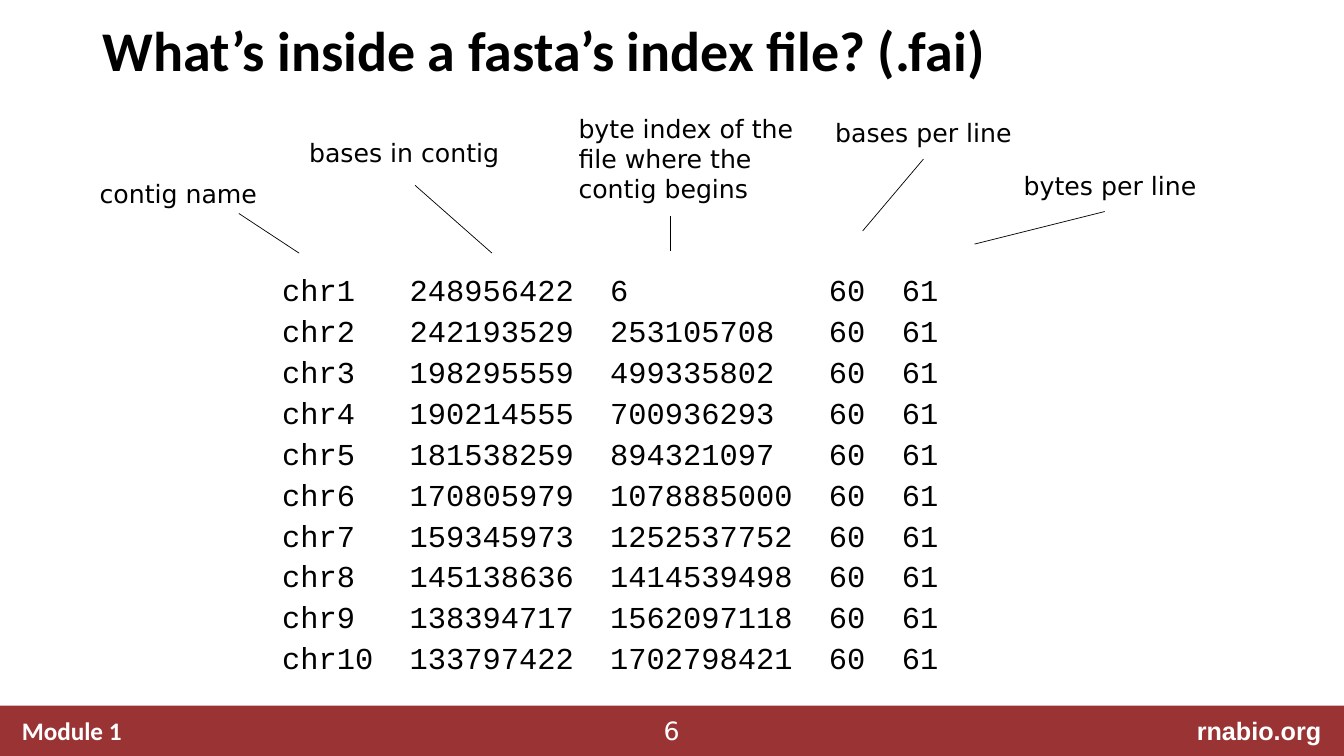
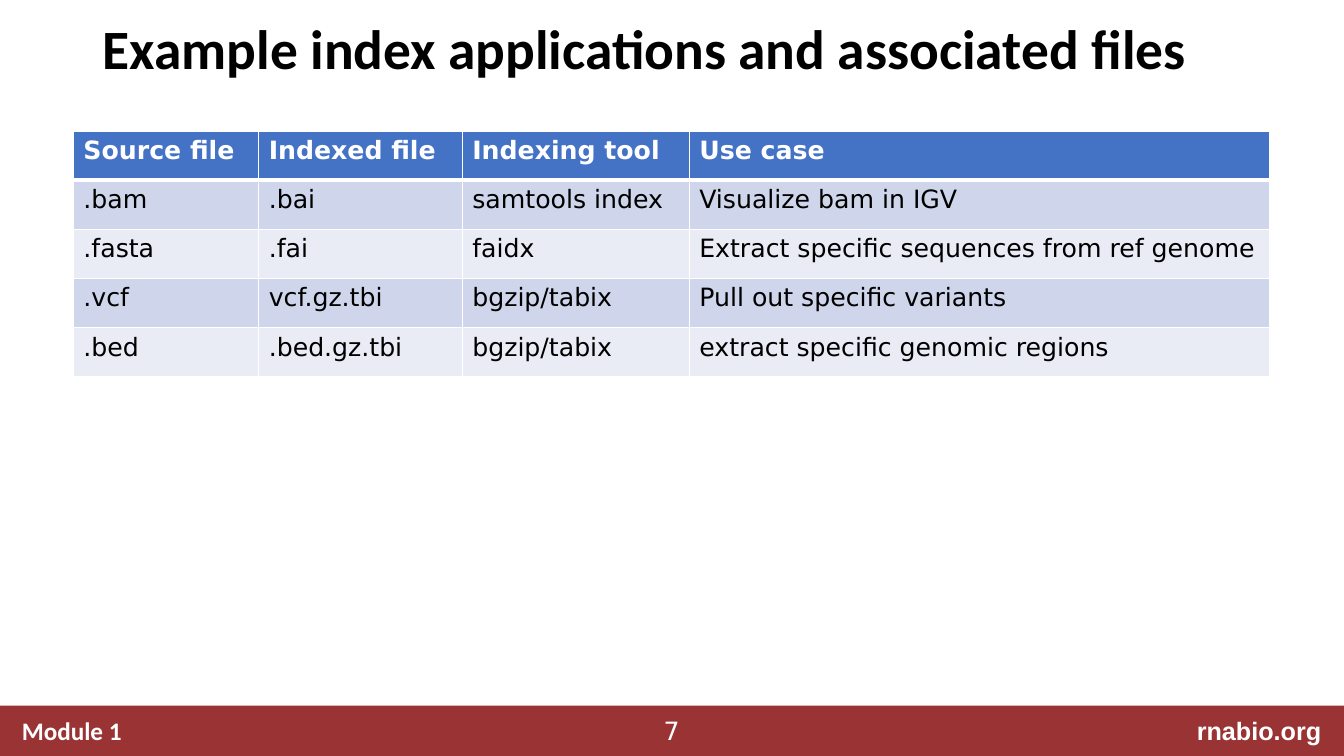
from lxml import etree
from pptx import Presentation
from pptx.dml.color import RGBColor
from pptx.enum.shapes import MSO_CONNECTOR, MSO_SHAPE
from pptx.enum.text import MSO_ANCHOR, PP_ALIGN
from pptx.oxml.ns import qn
from pptx.util import Cm, Pt

LEFT, CENTER, RIGHT = PP_ALIGN.LEFT, PP_ALIGN.CENTER, PP_ALIGN.RIGHT
TOP, MIDDLE = MSO_ANCHOR.TOP, MSO_ANCHOR.MIDDLE
RECTANGLE, STRAIGHT = MSO_SHAPE.RECTANGLE, MSO_CONNECTOR.STRAIGHT

BLACK = RGBColor(0x00, 0x00, 0x00)
WHITE = RGBColor(0xFF, 0xFF, 0xFF)
MAROON = RGBColor(0x9A, 0x33, 0x34)
HEADER_BLUE = RGBColor(0x44, 0x72, 0xC4)
BAND_FILLS = (RGBColor(0xCF, 0xD5, 0xEA), RGBColor(0xE9, 0xEB, 0xF5))

TITLE_FONT, BODY_FONT = "Calibri", "DejaVu Sans"
SITE_FONT, CODE_FONT = "Arial", "Courier New"
TEXT_SIZE, CODE_SIZE = 18, 21.7
CODE_CHARACTER_WIDTH = Pt(CODE_SIZE * 0.6)

SLIDE_WIDTH, SLIDE_HEIGHT = 33.87, 19.05
FOOTER_HEIGHT = 1.27
LABEL_WIDTH = 6
FIRST_NUMBER = 6

INDEX_TAB_CHARACTERS = (7, 18, 30, 34)
CONTIGS = [
    ("chr1", 248956422, 6),
    ("chr2", 242193529, 253105708),
    ("chr3", 198295559, 499335802),
    ("chr4", 190214555, 700936293),
    ("chr5", 181538259, 894321097),
    ("chr6", 170805979, 1078885000),
    ("chr7", 159345973, 1252537752),
    ("chr8", 145138636, 1414539498),
    ("chr9", 138394717, 1562097118),
    ("chr10", 133797422, 1702798421),
]
LINE_BASES, LINE_BYTES = 60, 61

# Label text, left, top, then the two ends of its pointer
CALLOUTS = [
    ("contig name", 2.26, 4.37, (6.02, 5.38), (7.54, 6.38)),
    ("bases in contig", 7.54, 3.33, (10.46, 4.67), (12.4, 6.38)),
    ("byte index of the file where the contig begins", 14.33, 2.72,
     (16.89, 5.44), (16.89, 6.32)),
    ("bases per line", 20.8, 2.84, (23.27, 4.01), (21.74, 5.82)),
    ("bytes per line", 25.55, 4.17, (27.84, 5.33), (24.56, 6.15)),
]

APPLICATION_COLUMNS = (4.67, 5.13, 5.72, 14.63)
APPLICATIONS = [
    ("Source file", "Indexed file", "Indexing tool", "Use case"),
    (".bam", ".bai", "samtools index", "Visualize bam in IGV"),
    (".fasta", ".fai", "faidx", "Extract specific sequences from ref genome"),
    (".vcf", "vcf.gz.tbi", "bgzip/tabix", "Pull out specific variants"),
    (".bed", ".bed.gz.tbi", "bgzip/tabix", "extract specific genomic regions"),
]


def style_font(para, name=BODY_FONT, size=TEXT_SIZE, color=BLACK, bold=False):
    font = para.font
    font.name, font.size, font.bold = name, Pt(size), bold
    font.color.rgb = color


def add_tab_stops(para, positions):
    tabs = etree.SubElement(para._p.get_or_add_pPr(), qn("a:tabLst"))
    for position in positions:
        etree.SubElement(tabs, qn("a:tab"), pos=str(int(position)), algn="l")


def add_cell_borders(cell, top, bottom):
    """Draw white borders; top and bottom are widths in points."""
    properties = cell._tc.get_or_add_tcPr()
    for side, width in (("L", 1), ("R", 1), ("T", top), ("B", bottom)):
        line = etree.SubElement(properties, qn(f"a:ln{side}"), w=str(Pt(width)))
        fill = etree.SubElement(line, qn("a:solidFill"))
        etree.SubElement(fill, qn("a:srgbClr"), val=str(WHITE))


class LectureDeck:
    def __init__(self):
        self.deck = Presentation()
        self.deck.slide_width = Cm(SLIDE_WIDTH)
        self.deck.slide_height = Cm(SLIDE_HEIGHT)
        self.number = FIRST_NUMBER

    def new_slide(self, title, title_height, title_size):
        self.page = self.deck.slides.add_slide(self.deck.slide_layouts[6])
        self.footer()
        para = self.text(title, 2.34, 0.27, 29.21, title_height, anchor=MIDDLE,
                         name=TITLE_FONT, size=title_size, bold=True)
        para.line_spacing = 0.9

    def footer(self):
        top = SLIDE_HEIGHT - FOOTER_HEIGHT
        bar = self.page.shapes.add_shape(
            RECTANGLE, 0, Cm(top), Cm(SLIDE_WIDTH), Cm(FOOTER_HEIGHT))
        bar.shadow.inherit = False
        bar.fill.solid()
        bar.fill.fore_color.rgb = MAROON
        bar.line.fill.background()
        for text, left, width, align, name, bold in (
                ("Module 1", 0.3, 7, LEFT, TITLE_FONT, True),
                ("rnabio.org", 27, 6.55, RIGHT, SITE_FONT, True),
                (str(self.number), 15.93, 2, CENTER, BODY_FONT, False)):
            self.text(text, left, top + 0.13, width, 1.02, align,
                      name=name, color=WHITE, bold=bold)
        self.number += 1

    def box(self, left, top, width, height, anchor=TOP):
        frame = self.page.shapes.add_textbox(
            Cm(left), Cm(top), Cm(width), Cm(height)).text_frame
        frame.word_wrap = True
        frame.vertical_anchor = anchor
        return frame

    def text(self, text, left, top, width, height, align=LEFT, anchor=TOP,
             **style):
        para = self.box(left, top, width, height, anchor).paragraphs[0]
        para.text = text
        para.alignment = align
        style_font(para, **style)
        return para

    def code_rows(self, rows, tab_characters, left, top, width, height):
        """Write rows of monospaced fields, aligned at character columns."""
        frame = self.box(left, top, width, height)
        for index, row in enumerate(rows):
            para = frame.add_paragraph() if index else frame.paragraphs[0]
            para.text = "\t".join(map(str, row))
            para.line_spacing = 0.7
            para.space_before = Pt(11 if index else 0)
            add_tab_stops(para, [count * CODE_CHARACTER_WIDTH
                                 for count in tab_characters])
            style_font(para, CODE_FONT, CODE_SIZE)

    def callout(self, text, left, top, start, end):
        self.text(text, left, top, LABEL_WIDTH, 1.02)
        pointer = self.page.shapes.add_connector(
            STRAIGHT, *(Cm(value) for value in start + end))
        pointer.line.color.rgb = BLACK
        pointer.line.width = Pt(0.5)
        etree.SubElement(pointer._element.spPr, qn("a:effectLst"))

    def table(self, rows, column_widths, left, top, row_height):
        table = self.page.shapes.add_table(
            len(rows), len(column_widths), Cm(left), Cm(top),
            Cm(sum(column_widths)), Cm(row_height * len(rows))).table
        for column, width in zip(table.columns, column_widths):
            column.width = Cm(width)
        for row_index, row in enumerate(rows):
            header = row_index == 0
            fill = HEADER_BLUE if header else BAND_FILLS[(row_index - 1) % 2]
            for column_index, text in enumerate(row):
                cell = table.cell(row_index, column_index)
                add_cell_borders(cell, top=3 if row_index == 1 else 1,
                                 bottom=3 if header else 1)
                cell.fill.solid()
                cell.fill.fore_color.rgb = fill
                cell.text = text
                style_font(cell.text_frame.paragraphs[0],
                           color=WHITE if header else BLACK, bold=header)


def main():
    lecture = LectureDeck()

    lecture.new_slide("What’s inside a fasta’s index file? (.fai)", 2.16, 40)
    index_rows = [contig + (LINE_BASES, LINE_BYTES) for contig in CONTIGS]
    lecture.code_rows(index_rows, INDEX_TAB_CHARACTERS, 6.86, 6.96, 18.11, 10.5)
    for callout in CALLOUTS:
        lecture.callout(*callout)

    lecture.new_slide("Example index applications and associated files",
                      2.06, 39.6)
    lecture.table(APPLICATIONS, APPLICATION_COLUMNS, 1.85, 3.3, 1.24)

    lecture.deck.save("out.pptx")


if __name__ == "__main__":
    main()
